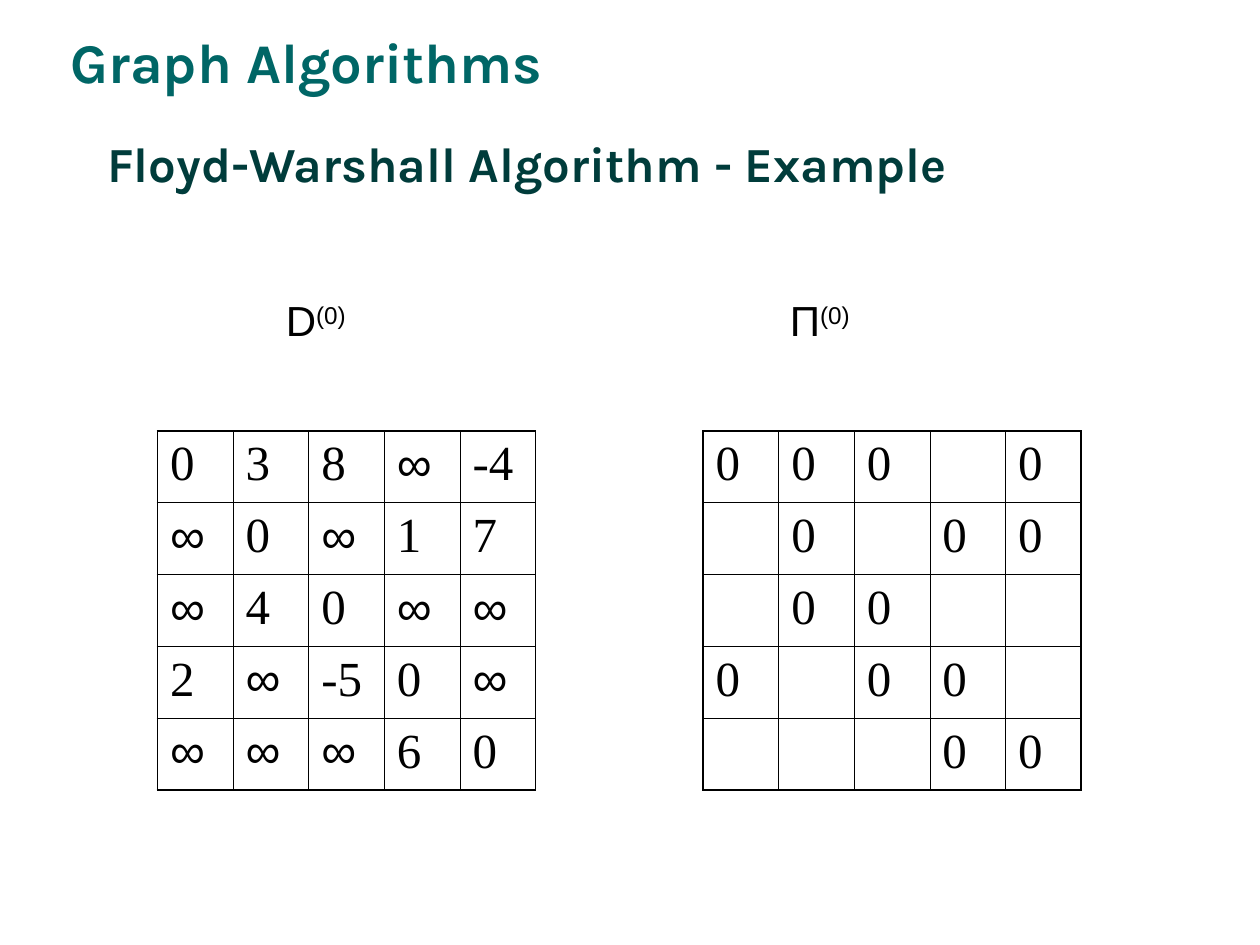
from lxml.etree import SubElement
from pptx import Presentation
from pptx.dml.color import RGBColor
from pptx.enum.text import MSO_ANCHOR, MSO_AUTO_SIZE, PP_ALIGN
from pptx.oxml.ns import qn
from pptx.util import Inches, Pt

BLACK = "000000"
SIZE = 5
DISTANCES = ["0 3 8 ∞ -4", "∞ 0 ∞ 1 7", "∞ 4 0 ∞ ∞", "2 ∞ -5 0 ∞", "∞ ∞ ∞ 6 0"]
PREDECESSORS = ["0 0 0 . 0", ". 0 . 0 0", ". 0 0 . .", "0 . 0 0 .", ". . . 0 0"]


def set_font(font, name, size, color, bold=False):
    font.name = name
    font.size = Pt(size)
    font.bold = bold
    font.color.rgb = RGBColor.from_string(color)


def add_text(s, left, top, width, height):
    tf = s.shapes.add_textbox(Inches(left), Inches(top), Inches(width), Inches(height)).text_frame
    tf.word_wrap = False
    tf.auto_size = MSO_AUTO_SIZE.SHAPE_TO_FIT_TEXT
    return tf.paragraphs[0]


def add_heading(s, text):
    p = add_text(s, 0.46, 0.17, 4.16, 0.64)
    p.text = text
    set_font(p.font, "Karla", 32, "006666", True)


def set_title(s, text):
    title = s.shapes.title
    title.left, title.top = Inches(0.75), Inches(0.67)
    title.width, title.height = Inches(9.25), Inches(1.25)
    tf = title.text_frame
    tf.text = text
    tf.auto_size = MSO_AUTO_SIZE.NONE
    tf.vertical_anchor = MSO_ANCHOR.MIDDLE
    p = tf.paragraphs[0]
    p.alignment = PP_ALIGN.LEFT
    set_font(p.font, "Karla", 28, "003C3B", True)


def add_labels(s, names, stops):
    p = add_text(s, 1.17, 2.29, 5.7, 0.5)
    tabs = SubElement(p._p.get_or_add_pPr(), qn("a:tabLst"))
    for name, stop in zip(names, stops):
        SubElement(tabs, qn("a:tab"), pos=str(Inches(stop)), algn="l")
        p.add_run().text = "\t" + name
        r = p.add_run()
        r.text = "(0)"
        r._r.get_or_add_rPr().set("baseline", "30000")
    set_font(p.font, "Arial", 24, BLACK)


def set_borders(cell, row, col):
    outer = {"L": col == 0, "R": col == SIZE - 1, "T": row == 0, "B": row == SIZE - 1}
    for side, is_outer in outer.items():
        width = Pt(1.08 if is_outer else 0.45)
        ln = SubElement(cell._tc.get_or_add_tcPr(), qn(f"a:ln{side}"), w=str(width))
        fill = SubElement(ln, qn("a:solidFill"))
        SubElement(fill, qn("a:srgbClr"), val=BLACK)


def add_matrix(s, left, rows):
    table = s.shapes.add_table(SIZE, SIZE, Inches(left), Inches(3.42), Inches(3), Inches(2.85)).table
    table.first_row = table.horz_banding = False
    for i, row in enumerate(rows):
        for j, value in enumerate(row.split()):
            cell = table.cell(i, j)
            set_borders(cell, i, j)
            cell.fill.background()
            p = cell.text_frame.paragraphs[0]
            if value != ".":
                p.text = value
            set_font(p.font, "Arial" if value == "∞" else "Times New Roman", 28, BLACK)


def main():
    prs = Presentation()
    prs.slide_width, prs.slide_height = Inches(10), Inches(7.5)
    s = prs.slides.add_slide(prs.slide_layouts[5])
    add_heading(s, "Graph Algorithms")
    set_title(s, "Floyd-Warshall Algorithm - Example")
    add_matrix(s, 1.25, DISTANCES)
    add_matrix(s, 5.58, PREDECESSORS)
    add_labels(s, ["D", "Π"], [1, 5])
    prs.save("out.pptx")


if __name__ == "__main__":
    main()
